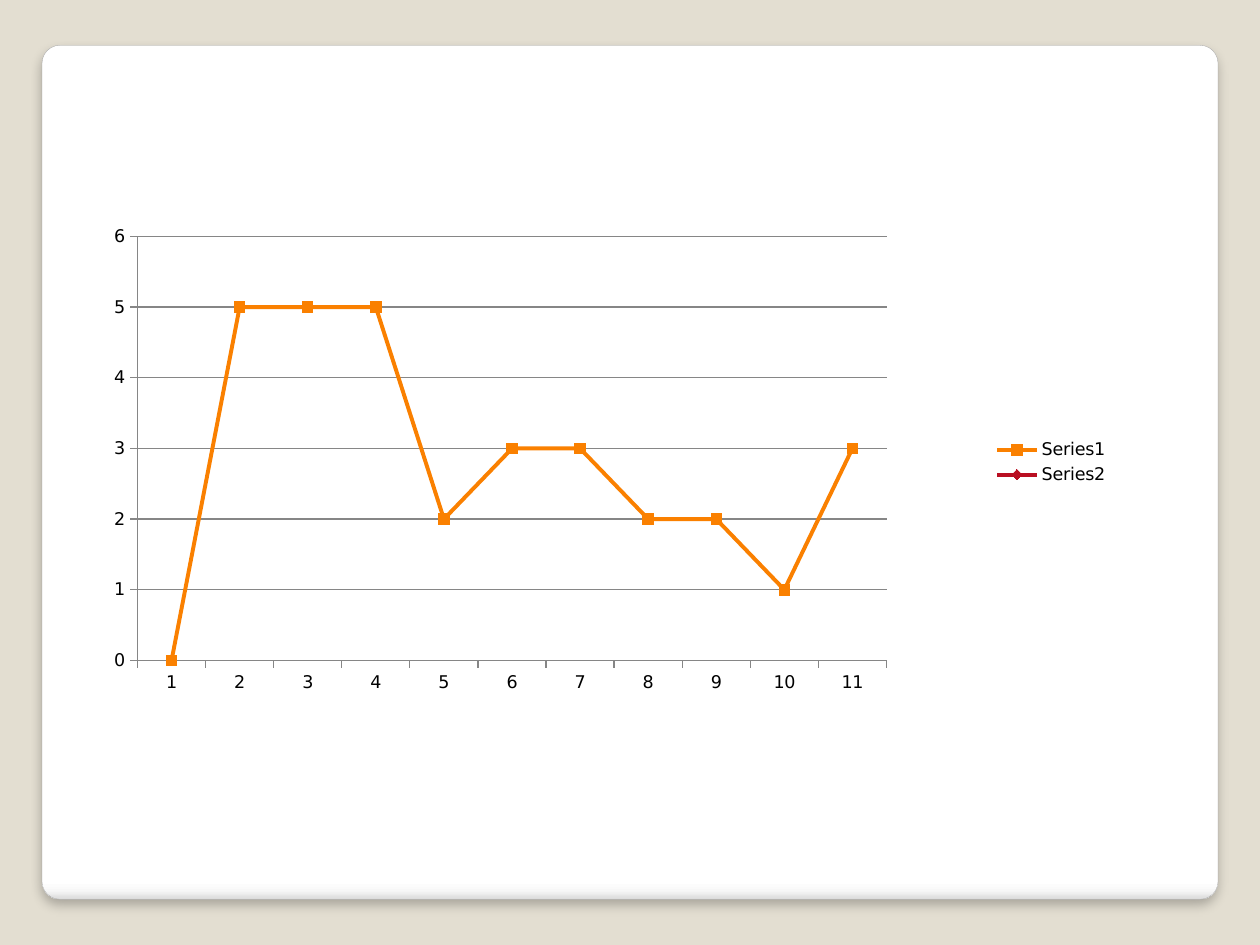
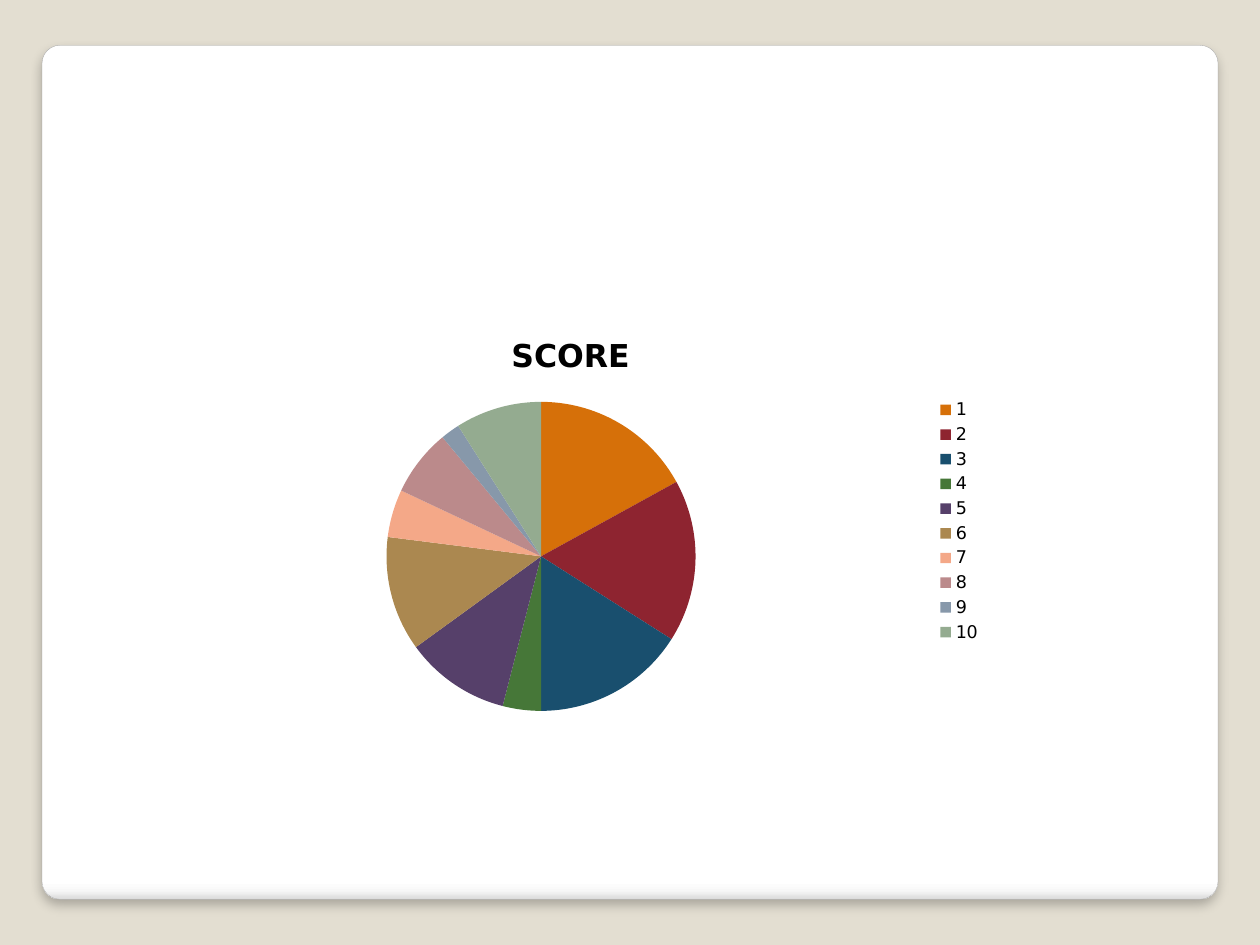
from lxml.etree import SubElement
from pptx import Presentation
from pptx.chart.data import CategoryChartData
from pptx.dml.color import RGBColor
from pptx.enum.chart import XL_CHART_TYPE, XL_LEGEND_POSITION, XL_MARKER_STYLE, XL_TICK_MARK
from pptx.enum.shapes import MSO_SHAPE
from pptx.oxml.ns import qn
from pptx.util import Pt

COLORS = {
    "background": "E3DED1",
    "card": "FFFFFF",
    "card_shade": "F7F7F7",
    "card_edge": "DADADA",
    "card_line": "A4A4A4",
    "text": "000000",
    "grid": "868686",
    "line_orange": "FA8000",
    "line_red": "B90F22",
    "orange": "D67009",
    "red": "8E2430",
    "blue": "194F6E",
    "green": "467738",
    "purple": "56406A",
    "tan": "AB8850",
    "peach": "F4A888",
    "rose": "BB8A8B",
    "steel": "8798AA",
    "sage": "94AB90",
}
PIE_COLORS = ["orange", "red", "blue", "green", "purple", "tan", "peach", "rose", "steel", "sage"]
FONT = "DejaVu Sans"


def rgb(name):
    return RGBColor.from_string(COLORS[name])


def add_element(parent, tag, **attributes):
    return SubElement(parent, qn(tag), {key: str(value) for key, value in attributes.items()})


def format_font(font, size=10, bold=False, color="text"):
    font.name = FONT
    font.size = Pt(size)
    font.bold = bold
    font.color.rgb = rgb(color)


def write_text(text_frame, text, **font_format):
    paragraph = text_frame.paragraphs[0]
    run = paragraph.add_run()
    run.text = text
    format_font(run.font, **font_format)


class Deck:
    def __init__(self):
        self.presentation = Presentation()
        self.presentation.slide_width = Pt(720)
        self.presentation.slide_height = Pt(540)
        self.slide = None

    def add_slide(self):
        self.slide = self.presentation.slides.add_slide(self.presentation.slide_layouts[6])
        fill = self.slide.background.fill
        fill.solid()
        fill.fore_color.rgb = rgb("background")
        self.add_card()

    def add_card(self):
        card = self.slide.shapes.add_shape(
            MSO_SHAPE.ROUNDED_RECTANGLE, Pt(24), Pt(25.9), Pt(672), Pt(488)
        )
        card.adjustments[0] = 0.021
        card.line.color.rgb = rgb("card_line")
        card.line.width = Pt(0.16)
        card.fill.gradient()
        card.fill.gradient_angle = 270
        properties = card._element.spPr
        stops = properties.find(qn("a:gradFill")).find(qn("a:gsLst"))
        for stop in list(stops):
            stops.remove(stop)
        for position, color in [(0, "card"), (98, "card"), (99, "card_shade"), (100, "card_edge")]:
            stop = add_element(stops, "a:gs", pos=position * 1000)
            add_element(stop, "a:srgbClr", val=COLORS[color])
        card.shadow.inherit = False
        shadow = add_element(
            properties.find(qn("a:effectLst")), "a:outerShdw",
            blurRad=Pt(6), dist=Pt(4), dir=5400000, algn="t", rotWithShape=0,
        )
        shadow_color = add_element(shadow, "a:srgbClr", val=COLORS["text"])
        add_element(shadow_color, "a:alpha", val=25000)

    def add_chart(self, chart_type, box, categories, series):
        data = CategoryChartData()
        data.categories = categories
        for name, values in series.items():
            data.add_series(name, values)
        chart = self.slide.shapes.add_chart(chart_type, *map(Pt, box), data).chart
        format_font(chart.font)
        chart.has_title = False
        chart.has_legend = True
        chart.legend.position = XL_LEGEND_POSITION.RIGHT
        chart.legend.include_in_layout = False
        return chart

    def style_axis(self, axis):
        axis.major_tick_mark = XL_TICK_MARK.OUTSIDE
        axis.minor_tick_mark = XL_TICK_MARK.NONE
        self.style_line(axis.format.line, "grid", 0.75)

    def style_line(self, line, color, width):
        line.color.rgb = rgb(color)
        line.width = Pt(width)

    def set_plot_layout(self, chart, **fractions):
        plot_area = chart._chartSpace.chart.plotArea
        for layout in plot_area.findall(qn("c:layout")):
            plot_area.remove(layout)
        layout = add_element(plot_area, "c:layout")
        plot_area.insert(0, layout)
        manual = add_element(layout, "c:manualLayout")
        add_element(manual, "c:layoutTarget", val="inner")
        for side in "xy":
            add_element(manual, f"c:{side}Mode", val="edge")
        for side, fraction in fractions.items():
            add_element(manual, f"c:{side}", val=fraction)

    def add_line_chart(self, box, categories, series, styles):
        chart = self.add_chart(XL_CHART_TYPE.LINE_MARKERS, box, categories, series)
        self.set_plot_layout(chart, x=0.057, y=0.075, w=0.718, h=0.798)
        value_axis = chart.value_axis
        for axis in (chart.category_axis, value_axis):
            self.style_axis(axis)
        value_axis.minimum_scale = 0
        value_axis.maximum_scale = 6
        value_axis.major_unit = 1
        value_axis.has_major_gridlines = True
        self.style_line(value_axis.major_gridlines.format.line, "grid", 0.75)
        for line, (color, marker) in zip(chart.plots[0].series, styles):
            line.smooth = False
            self.style_line(line.format.line, color, 2.25)
            line.marker.style = marker
            line.marker.size = 6
            line.marker.format.fill.solid()
            line.marker.format.fill.fore_color.rgb = rgb(color)
            line.marker.format.line.fill.background()

    def add_pie_chart(self, box, title, categories, values):
        chart = self.add_chart(XL_CHART_TYPE.PIE, box, categories, {title: values})
        chart.has_title = True
        write_text(chart.chart_title.text_frame, title, size=18, bold=True)
        chart.chart_title.include_in_layout = False
        plot = chart.plots[0]
        plot.vary_by_categories = True
        for index, color in enumerate(PIE_COLORS):
            point_format = plot.series[0].points[index].format
            point_format.fill.solid()
            point_format.fill.fore_color.rgb = rgb(color)
            point_format.line.fill.background()


def number_labels(count):
    return [str(number) for number in range(1, count + 1)]


def main():
    deck = Deck()

    deck.add_slide()
    line_values = [0, 5, 5, 5, 2, 3, 3, 2, 2, 1, 3]
    deck.add_line_chart(
        (44.6, 112.3, 596.2, 303.8),
        number_labels(len(line_values)),
        {"Series1": line_values, "Series2": [None] * len(line_values)},
        [("line_orange", XL_MARKER_STYLE.SQUARE), ("line_red", XL_MARKER_STYLE.DIAMOND)],
    )

    deck.add_slide()
    scores = [17, 17, 16, 4, 11, 12, 5, 7, 2, 9]
    deck.add_pie_chart((84.2, 179.3, 483.8, 236.9), "SCORE", number_labels(len(scores)), scores)

    deck.presentation.save("out.pptx")


if __name__ == "__main__":
    main()
